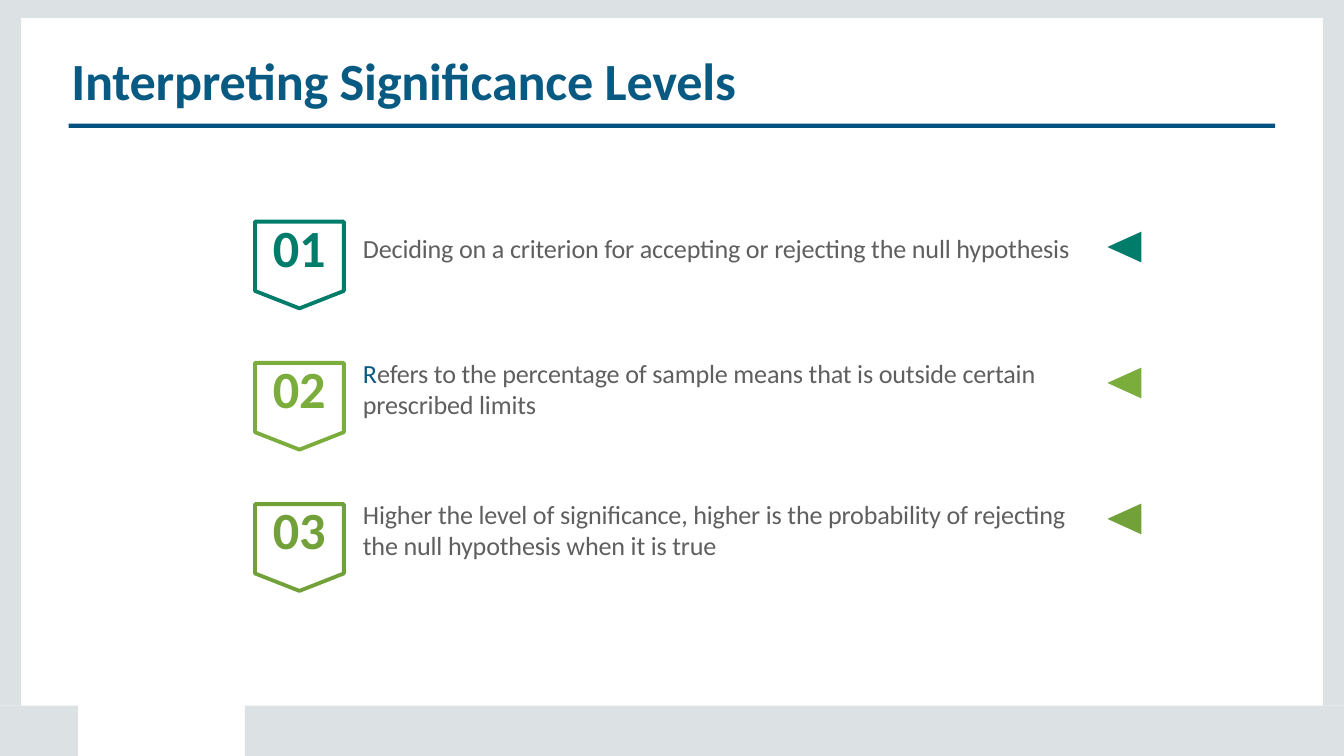
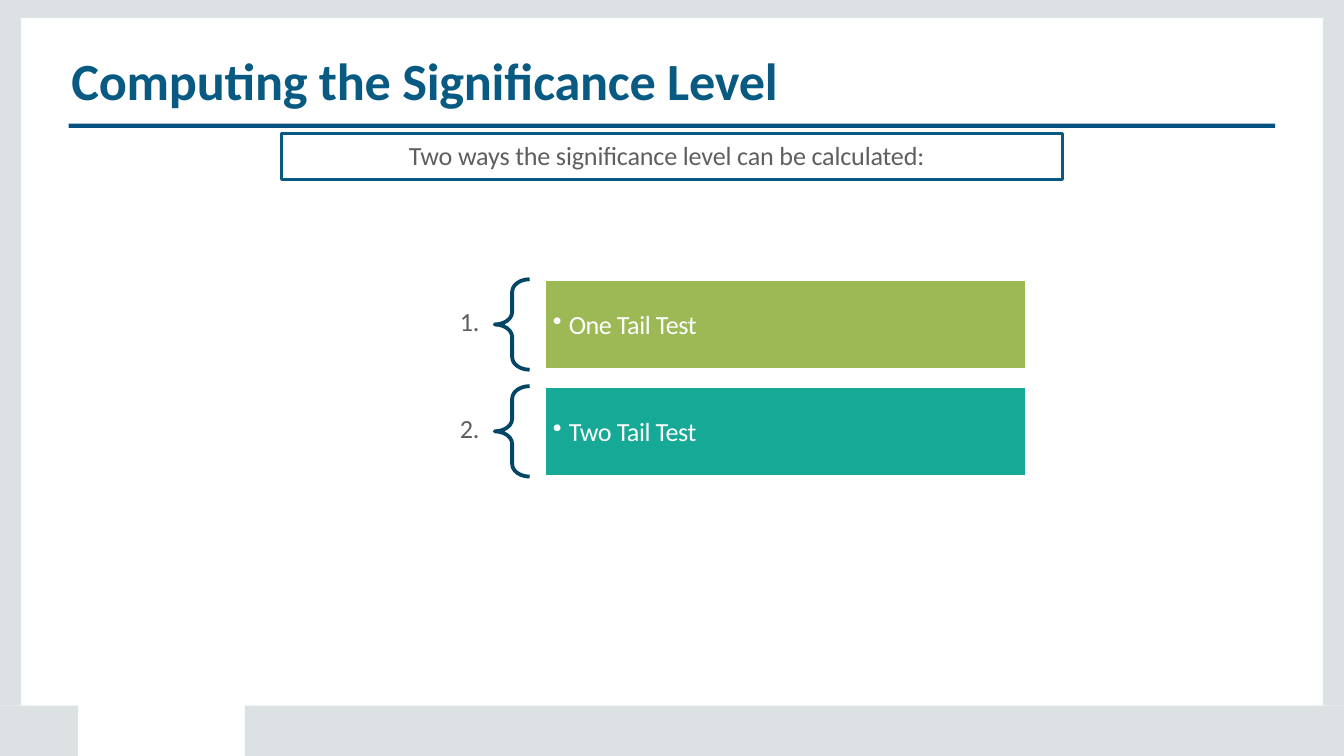
import dataclasses

import lxml.etree
import pptx
import pptx.dml.color
import pptx.enum.shapes
import pptx.enum.text
import pptx.oxml.ns
import pptx.presentation
import pptx.shapes.autoshape
import pptx.slide
import pptx.text.text
import pptx.util
from pptx.util import Cm

COLORS = {
    "band": "DCE2E3",
    "title": "095A82",
    "rule": "055180",
    "text": "5F5F5F",
    "white": "FFFFFF",
    "brace": "044666",
    "teal": "007C6B",
    "lime": "7BAD3C",
    "green": "71A138",
    "olive": "9CB955",
    "mint": "16A995",
}
FONT = "Calibri"
BODY_SIZE = 14
HEADING_SIZE = 28
LINE_HEIGHT = 0.62  # cm for one body line
OUTLINE = 2.04

SHAPE = pptx.enum.shapes.MSO_SHAPE
Slide = pptx.slide.Slide
Shape = pptx.shapes.autoshape.Shape


@dataclasses.dataclass(frozen=True)
class Area:
    """Left, top, width and height in centimetres."""
    left: float
    top: float
    width: float
    height: float

    def lengths(self) -> tuple[Cm, ...]:
        return tuple(Cm(value) for value in dataclasses.astuple(self))


@dataclasses.dataclass(frozen=True)
class Point:
    number: str
    color: str
    lines: tuple[str, ...]
    width: float
    initial_color: str = "text"


@dataclasses.dataclass(frozen=True)
class Way:
    number: str
    label: str
    color: str


BANDS = (
    Area(25.0, 0.34, 0.4, 13.0),
    Area(0, 0.34, 0.4, 13.0),
    Area(4.63, 13.34, 20.77, 0.95),
    Area(0, 13.34, 1.48, 0.95),
    Area(0, 0, 25.4, 0.34),
)
RULE = Area(1.3, 2.34, 22.8, 0.08)
TITLE = Area(1.32, 0.88, 14, 1.25)

POINTS = (
    Point("01", "teal",
          ("Deciding on a criterion for accepting or rejecting the null hypothesis",), 13.9),
    Point("02", "lime",
          ("Refers to the percentage of sample means that is outside certain",
           "prescribed limits"), 13.2, "title"),
    Point("03", "green",
          ("Higher the level of significance, higher is the probability of rejecting "
           "the null hypothesis when it is true",), 13.61),
)
WAYS = (Way("1.", "One Tail Test", "olive"), Way("2.", "Two Tail Test", "mint"))


def rgb(name: str) -> pptx.dml.color.RGBColor:
    return pptx.dml.color.RGBColor.from_string(COLORS[name])


# Shapes
def style(shape: Shape, fill: str = "", line: str = "", weight: float = OUTLINE) -> Shape:
    shape.shadow.inherit = False
    if fill:
        shape.fill.solid()
        shape.fill.fore_color.rgb = rgb(fill)
    else:
        shape.fill.background()
    if line:
        shape.line.color.rgb = rgb(line)
        shape.line.width = pptx.util.Pt(weight)
    else:
        shape.line.fill.background()
    return shape


def add_block(page: Slide, area: Area, kind: SHAPE = SHAPE.RECTANGLE) -> Shape:
    return page.shapes.add_shape(kind, *area.lengths())


def add_outline(page: Slide, corners: list[tuple[float, float]]) -> Shape:
    points = [(Cm(x), Cm(y)) for x, y in corners]
    builder = page.shapes.build_freeform(*points[0])
    builder.add_line_segments(points[1:], close=True)
    return builder.convert_to_shape()


# Text
def prepare_frame(frame: pptx.text.text.TextFrame, left: float = 0.03, top: float = 0.03) -> None:
    frame.word_wrap = True
    frame.auto_size = pptx.enum.text.MSO_AUTO_SIZE.NONE
    frame.vertical_anchor = pptx.enum.text.MSO_ANCHOR.TOP
    frame.margin_left, frame.margin_top = Cm(left), Cm(top)
    frame.margin_right = frame.margin_bottom = 0


def write(para: pptx.text.text._Paragraph, text: str, color: str, size: float = BODY_SIZE,
          bold: bool = False, before: float = 1, tracking: float = -0.1,
          initial_color: str = "") -> None:
    para.alignment = pptx.enum.text.PP_ALIGN.LEFT
    para.space_before = pptx.util.Pt(before)
    para.font.name = FONT
    para.font.size = pptx.util.Pt(size)
    para.font.bold = bold
    para.font.color.rgb = rgb(color)
    pieces = [text]
    if initial_color and initial_color != color:
        pieces = [text[0], text[1:]]
    for piece in pieces:
        span = para.add_run()
        span.text = piece
        span._r.get_or_add_rPr().set("spc", str(round(tracking * 100)))
    if len(pieces) > 1:
        para.runs[0].font.color.rgb = rgb(initial_color)


def add_text(page: Slide, area: Area, text: str, color: str, **options) -> None:
    frame = page.shapes.add_textbox(*area.lengths()).text_frame
    prepare_frame(frame)
    write(frame.paragraphs[0], text, color, **options)


def add_bullet(para: pptx.text.text._Paragraph, margin: float, hanging: float) -> None:
    properties = para._p.get_or_add_pPr()
    properties.set("marL", str(Cm(margin)))
    properties.set("indent", str(-Cm(hanging)))
    bullet = lxml.etree.Element(pptx.oxml.ns.qn("a:buChar"), char="•")
    default_font = properties.find(pptx.oxml.ns.qn("a:defRPr"))
    default_font.addprevious(bullet)


# Shared page: bands, rule and title
def add_page(deck: pptx.presentation.Presentation, title: str) -> Slide:
    page = deck.slides.add_slide(deck.slide_layouts.get_by_name("Title Only"))
    for band in BANDS:
        style(add_block(page, band), fill="band")
    style(add_block(page, RULE), fill="rule")
    heading = page.shapes.title
    heading.left, heading.top, heading.width, heading.height = TITLE.lengths()
    prepare_frame(heading.text_frame)
    write(heading.text_frame.paragraphs[0], title, "title", HEADING_SIZE, bold=True)
    return page


# Slide 1: numbered points
def add_badge(page: Slide, point: Point, top: float) -> None:
    left, right, middle = 4.82, 6.5, 5.66
    shoulder, tip = top + 1.31, top + 1.64
    badge = add_outline(page, [(left, top), (right, top), (right, shoulder),
                               (middle, tip), (left, shoulder)])
    style(badge, line=point.color)
    add_text(page, Area(5.13, top - 0.16, 1.2, 1.25), point.number, point.color,
             size=HEADING_SIZE, bold=True)


def add_pointer(page: Slide, color: str, top: float) -> None:
    left, right, height = 20.93, 21.57, 0.58
    style(add_outline(page, [(right, top), (left, top + height / 2), (right, top + height)]),
          fill=color)


def add_statement(page: Slide, point: Point, center: float) -> None:
    rows = 1 if point is POINTS[0] else 2
    height = rows * LINE_HEIGHT
    area = Area(6.83, center - height / 2, point.width, height)
    frame = page.shapes.add_textbox(*area.lengths()).text_frame
    prepare_frame(frame)
    for index, line in enumerate(point.lines):
        para = frame.add_paragraph() if index else frame.paragraphs[0]
        write(para, line, "text", before=0 if index else 1,
              initial_color="" if index else point.initial_color)


def build_interpreting(deck: pptx.presentation.Presentation) -> None:
    page = add_page(deck, "Interpreting Significance Levels")
    for index, point in enumerate(POINTS):
        top = 4.19 + index * 2.67
        add_badge(page, point, top)
        add_statement(page, point, top + 0.48)
        add_pointer(page, point.color, 4.38 + index * 2.57)


# Slide 2: two ways with braces
def add_way(page: Slide, way: Way, top: float) -> None:
    height = 1.71
    add_text(page, Area(8.66, top + 0.46, 0.6, 0.66), way.number, "text")
    brace = add_block(page, Area(9.35, top, 0.66, height), SHAPE.LEFT_BRACE)
    brace.adjustments[0] = 0.36
    style(brace, line="brace")
    bar = style(add_block(page, Area(10.29, top, 9.12, height)), fill=way.color, line="white")
    prepare_frame(bar.text_frame, left=0, top=0)
    bar.text_frame.vertical_anchor = pptx.enum.text.MSO_ANCHOR.MIDDLE
    para = bar.text_frame.paragraphs[0]
    write(para, way.label, "white", before=0, tracking=-0.25)
    add_bullet(para, margin=0.46, hanging=0.3)


def build_computing(deck: pptx.presentation.Presentation) -> None:
    page = add_page(deck, "Computing the Significance Level")
    for index, way in enumerate(WAYS):
        add_way(page, way, 5.28 + index * 2.02)
    lead = style(add_block(page, Area(5.32, 2.53, 14.76, 0.86)), line="title", weight=1.56)
    prepare_frame(lead.text_frame, left=2.41, top=0.1)
    write(lead.text_frame.paragraphs[0], "Two ways the significance level can be calculated:",
          "text", before=2.6)


def main() -> None:
    deck = pptx.Presentation()
    deck.slide_width, deck.slide_height = Cm(25.4), Cm(14.29)
    build_interpreting(deck)
    build_computing(deck)
    deck.save("out.pptx")


if __name__ == "__main__":
    main()
